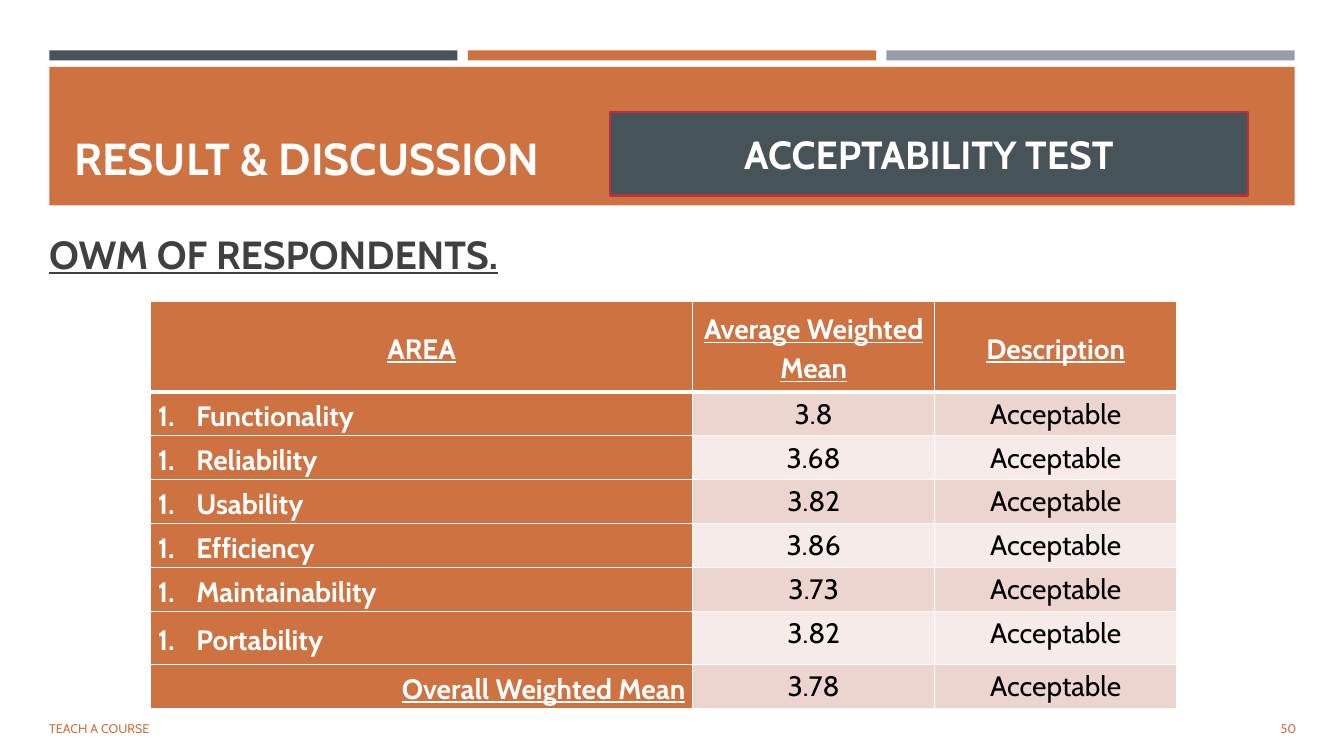
"""Build the acceptability test results slide."""
from dataclasses import dataclass

from lxml.etree import SubElement
from pptx import Presentation
from pptx.dml.color import RGBColor
from pptx.enum.shapes import MSO_SHAPE as Shape
from pptx.enum.text import MSO_ANCHOR as Anchor, MSO_AUTO_SIZE as AutoSize, PP_ALIGN as Align
from pptx.oxml import parse_xml
from pptx.oxml.ns import nsdecls, qn
from pptx.util import Pt


@dataclass(frozen=True)
class Theme:
    font: str = "Cabin"
    orange: str = "CE7242"
    slate: str = "465359"
    grey: str = "969FA7"
    red: str = "BC303B"
    ink: str = "404040"
    black: str = "000000"
    white: str = "FFFFFF"
    stripes: tuple = ("EDD5CF", "F6EBE9")
    title: int = 32
    heading: int = 28
    table: int = 20
    footer: int = 9


theme = Theme()


def write(frame, text, size, color, bold=False, underline=False, align=Align.LEFT,
          anchor=Anchor.MIDDLE, spacing=1.0, after=0, numbered=False):
    """Put one formatted paragraph into a text frame."""
    frame.word_wrap = True
    frame.vertical_anchor = anchor
    para = frame.paragraphs[0]
    para.alignment = align
    para.line_spacing = spacing
    para.space_after = Pt(after)
    if numbered:
        settings = para._p.get_or_add_pPr()
        settings.set("marL", str(Pt(27.4)))
        settings.set("indent", str(Pt(-27.4)))
        SubElement(settings, qn("a:buFont"), typeface=theme.font)
        SubElement(settings, qn("a:buAutoNum"), type="arabicPeriod")
    span = para.add_run()
    span.text = text
    span.font.name = theme.font
    span.font.size = Pt(size)
    span.font.bold = bold
    span.font.underline = underline
    span.font.color.rgb = RGBColor.from_string(color)


def add_block(left, top, width, height, color):
    """Add a plain filled rectangle."""
    block = page.shapes.add_shape(Shape.RECTANGLE, Pt(left), Pt(top), Pt(width), Pt(height))
    block.shadow.inherit = False
    block.fill.solid()
    block.fill.fore_color.rgb = RGBColor.from_string(color)
    block.line.fill.background()
    return block


deck = Presentation()
deck.slide_width, deck.slide_height = Pt(960), Pt(540)
page = deck.slides.add_slide(deck.slide_layouts[5])
title = page.shapes.title

for index, color in enumerate((theme.slate, theme.orange, theme.grey)):
    stripe = add_block(35.2 + index * 299, 36, 291.6, 7.2, color)
    title.element.addprevious(stripe.element)
banner = add_block(35.2, 47.8, 889.6, 99, theme.orange)
title.element.addprevious(banner.element)

title.left, title.top, title.width, title.height = Pt(46), Pt(57.6), Pt(868), Pt(77.8)
title.text_frame.auto_size = AutoSize.NONE
write(title.text_frame, "RESULT & DISCUSSION", theme.title, theme.white, bold=True,
      anchor=Anchor.BOTTOM)

labels = (
    ("50", 850.3, 506, 82.8, 28.8,
     dict(size=theme.footer, color=theme.orange, align=Align.RIGHT)),
    ("TEACH A COURSE", 28, 506, 537, 28.8,
     dict(size=theme.footer, color=theme.orange)),
    ("OWM OF RESPONDENTS.", 28, 147, 528, 68.4,
     dict(size=theme.heading, color=theme.ink, bold=True, underline=True)),
)
for text, left, top, width, height, style in labels:
    box = page.shapes.add_textbox(Pt(left), Pt(top), Pt(width), Pt(height))
    write(box.text_frame, text, after=6, **style)

badge = add_block(435.6, 80, 455.8, 59.8, theme.slate)
badge.line.color.rgb = RGBColor.from_string(theme.red)
badge.line.width = Pt(1.75)
badge.text_frame.margin_top = badge.text_frame.margin_bottom = 0
write(badge.text_frame, "ACCEPTABILITY TEST", theme.heading, theme.white, bold=True,
      align=Align.CENTER, after=6)

results = (
    ("AREA", "Average Weighted Mean", "Description"),
    ("Functionality", "3.8", "Acceptable"),
    ("Reliability", "3.68", "Acceptable"),
    ("Usability", "3.82", "Acceptable"),
    ("Efficiency", "3.86", "Acceptable"),
    ("Maintainability", "3.73", "Acceptable"),
    ("Portability", "3.82", "Acceptable"),
    ("Overall Weighted Mean", "3.78", "Acceptable"),
)
widths = (387.2, 172.9, 172.9)
heights = (64.6, 31.4, 31.4, 31.4, 31.4, 31.4, 37.8, 31.4)
last = len(results) - 1
grid = page.shapes.add_table(len(results), len(widths), Pt(107.6), Pt(215.4),
                             Pt(sum(widths)), Pt(sum(heights))).table
for column, width in zip(grid.columns, widths):
    column.width = Pt(width)

for row, (values, height) in enumerate(zip(results, heights)):
    grid.rows[row].height = Pt(height)
    for column, value in enumerate(values):
        cell = grid.cell(row, column)
        cell.margin_left = cell.margin_right = Pt(5.2)
        cell.margin_top = cell.margin_bottom = 0
        header, area = row == 0, column == 0
        label = header or area
        numbered = area and 0 < row < last
        align = Align.CENTER
        if numbered:
            align = Align.JUSTIFY
        elif area and row == last:
            align = Align.RIGHT
        write(cell.text_frame, value, theme.table, theme.white if label else theme.black,
              bold=label, underline=label and not numbered, align=align, spacing=1.15,
              after=10 if numbered else 0, numbered=numbered)
        cell.vertical_anchor = Anchor.MIDDLE if label else Anchor.TOP
        cell.fill.solid()
        cell.fill.fore_color.rgb = RGBColor.from_string(
            theme.orange if label else theme.stripes[(row - 1) % 2])
        thick_edge = {0: "lnB", 1: "lnT"}.get(row)
        for place, edge in enumerate(("lnL", "lnR", "lnT", "lnB")):
            weight = Pt(3 if edge == thick_edge else 1)
            cell._tc.get_or_add_tcPr().insert(place, parse_xml(
                f'<a:{edge} {nsdecls("a")} w="{weight}"><a:solidFill>'
                f'<a:srgbClr val="{theme.white}"/></a:solidFill></a:{edge}>'))

deck.save("out.pptx")
